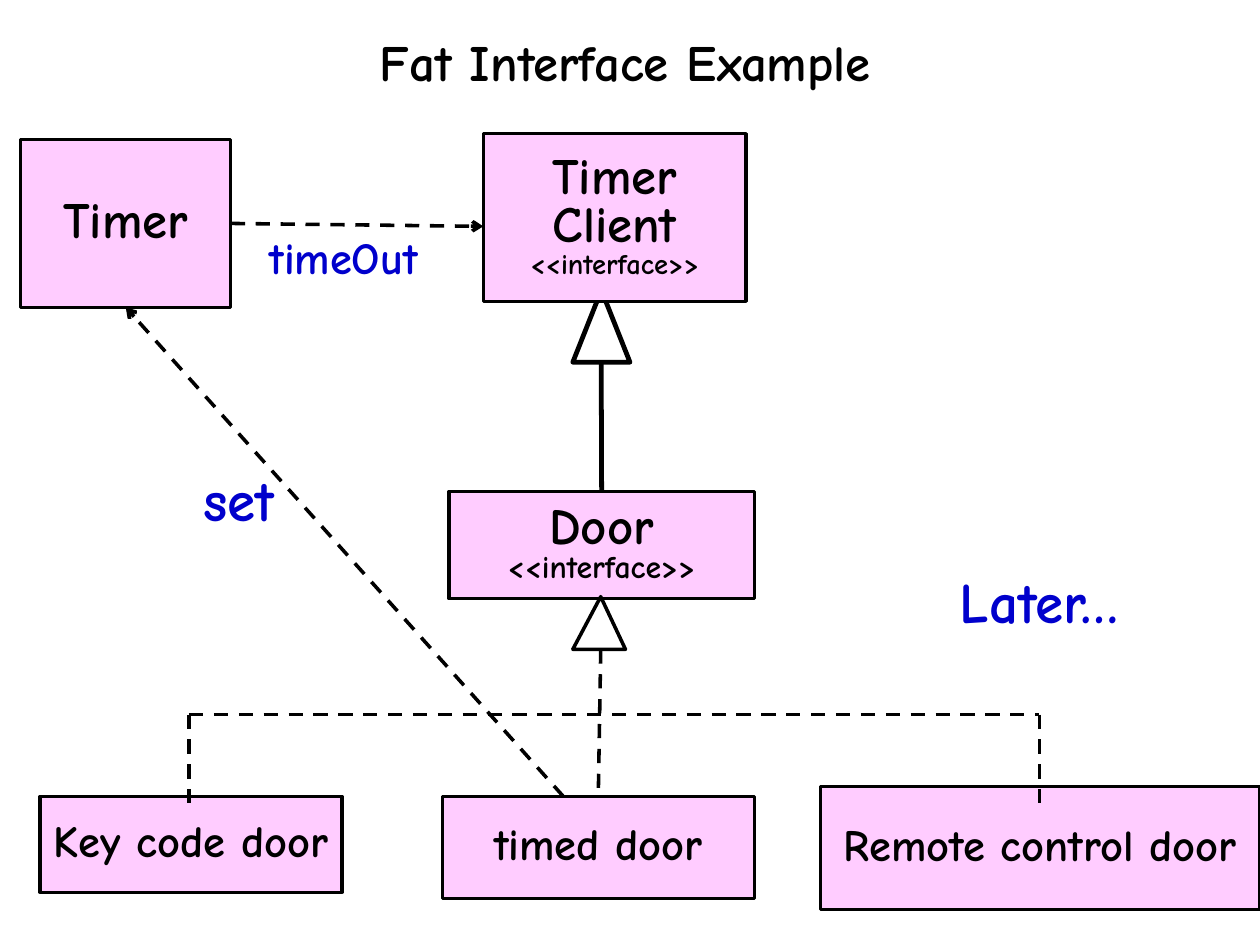
import pptx
import pptx.util
import pptx.dml.color
import pptx.enum.dml
import pptx.enum.shapes
import pptx.enum.text
import pptx.oxml.ns
from lxml import etree

Cm, Pt = pptx.util.Cm, pptx.util.Pt
RGBColor = pptx.dml.color.RGBColor
SHAPE = pptx.enum.shapes.MSO_SHAPE
ALIGN = pptx.enum.text.PP_ALIGN
ANCHOR = pptx.enum.text.MSO_ANCHOR

PINK = RGBColor(0xFF, 0xCC, 0xFF)
WHITE = RGBColor(0xFF, 0xFF, 0xFF)
BLACK = RGBColor(0, 0, 0)
BLUE = RGBColor(0, 0, 0xCC)
FONT = "Comic Neue"
TOP, LEFT, BOTTOM, RIGHT = range(4)

# Content: places are left, top, width, height in cm; text is (words, points)
TITLE = ((1.96, -0.28, 23.88, 3.48), [("Fat Interface Example", 32)])
STEREOTYPE = "<<interface>>"
CLASSES = {
    "key": ((0.89, 17.7, 6.71, 2.13), [("Key code door", 28)]),
    "timed": ((9.83, 17.7, 6.93, 2.26), [("timed door", 28)]),
    "remote": ((18.24, 17.48, 9.76, 2.74), [("Remote control door", 28)]),
    "door": ((9.98, 10.92, 6.78, 2.39), [("Door", 32), (STEREOTYPE, 20)]),
    "client": ((10.74, 2.97, 5.84, 3.73),
               [("Timer", 32), ("Client", 32), (STEREOTYPE, 18)]),
    "timer": ((0.46, 3.1, 4.67, 3.73), [("Timer", 32)]),
}
LABELS = [
    ((4.27, 10.49, 2.46, 1.5), [("set", 36)]),
    ((5.74, 5.21, 4.39, 1.22), [("timeOut", 28)]),
    ((21.08, 12.75, 4.72, 1.5), [("Later…", 36)]),
]
CLIENT_TRIANGLE = (12.73, 6.45, 1.27, 1.6)
DOOR_TRIANGLE = (12.73, 13.26, 1.17, 1.17)

# Each end is a point in cm or a class with one of its sides
BRANCH_LEFT, BRANCH_RIGHT, BRANCH_TOP, BRANCH_BOTTOM = 4.2, 23.1, 15.88, 17.96
LINES = [  # begin, end, width, dashed, arrow
    ((13.36, 8.05), ("door", TOP), 3, False, False),
    ((13.35, 14.43), ("timed", TOP), 2.25, True, False),
    ((BRANCH_LEFT, BRANCH_TOP), (BRANCH_RIGHT, BRANCH_TOP), 2.25, True, False),
    ((BRANCH_LEFT, BRANCH_TOP), (BRANCH_LEFT, BRANCH_BOTTOM), 2.25, True, False),
    ((BRANCH_RIGHT, BRANCH_TOP), (BRANCH_RIGHT, BRANCH_BOTTOM), 2.25, True, False),
    ((12.52, 17.7), ("timer", BOTTOM), 2.25, True, True),
    (("timer", RIGHT), (10.74, 5.03), 2.25, True, True),
]

deck = pptx.Presentation()
deck.slide_width, deck.slide_height = Cm(28), Cm(21)
slide = deck.slides.add_slide(deck.slide_layouts[6])
shapes = slide.shapes


def write(frame, lines, color, align, spacing=0.8):
    for i, (words, size) in enumerate(lines):
        paragraph = frame.paragraphs[0] if i == 0 else frame.add_paragraph()
        paragraph.text = words
        paragraph.alignment = align
        paragraph.line_spacing = spacing
        font = paragraph.font
        font.name, font.size, font.bold = FONT, Pt(size), True
        font.color.rgb = color


def add_outlined(kind, place, fill, width):
    shape = shapes.add_shape(kind, *map(Cm, place))
    shape.shadow.inherit = False
    shape.fill.solid()
    shape.fill.fore_color.rgb = fill
    shape.line.color.rgb = BLACK
    shape.line.width = Pt(width)
    return shape


def add_text(place, lines, color, align, spacing=0.8):
    frame = shapes.add_textbox(*map(Cm, place)).text_frame
    write(frame, lines, color, align, spacing)
    return frame


def add_line(begin, end, width, dashed, arrow):
    points = [(0, 0) if isinstance(spot[0], str) else spot for spot in (begin, end)]
    line = shapes.add_connector(pptx.enum.shapes.MSO_CONNECTOR.STRAIGHT,
                                *(Cm(v) for point in points for v in point))
    for spot, join in ((begin, line.begin_connect), (end, line.end_connect)):
        if isinstance(spot[0], str):
            join(boxes[spot[0]], spot[1])
    line.line.color.rgb = BLACK
    line.line.width = Pt(width)
    if dashed:
        line.line.dash_style = pptx.enum.dml.MSO_LINE.DASH
    qn = pptx.oxml.ns.qn
    if arrow:
        etree.SubElement(line.line._get_or_add_ln(), qn("a:tailEnd"), type="arrow")
    etree.SubElement(line._element.spPr, qn("a:effectLst"))


# Title
title = add_text(*TITLE, BLACK, ALIGN.CENTER, 0.88)
title.word_wrap = True
title.vertical_anchor = ANCHOR.MIDDLE

# Classes, with the client's triangle tucked behind its box
add_outlined(SHAPE.ISOSCELES_TRIANGLE, CLIENT_TRIANGLE, WHITE, 3)
boxes = {}
for name, (place, lines) in CLASSES.items():
    boxes[name] = add_outlined(SHAPE.RECTANGLE, place, PINK, 2)
    frame = boxes[name].text_frame
    frame.word_wrap = True
    frame.vertical_anchor = ANCHOR.MIDDLE
    write(frame, lines, BLACK, ALIGN.CENTER)
boxes["door"].text_frame.paragraphs[0].space_before = Pt(6)

# Relations
for relation in LINES:
    add_line(*relation)
door_triangle = add_outlined(SHAPE.ISOSCELES_TRIANGLE, DOOR_TRIANGLE, WHITE, 2.25)
door_triangle.adjustments[0] = 0.53

# Blue labels
for place, lines in LABELS:
    add_text(place, lines, BLUE, ALIGN.LEFT).word_wrap = False

deck.save("out.pptx")
